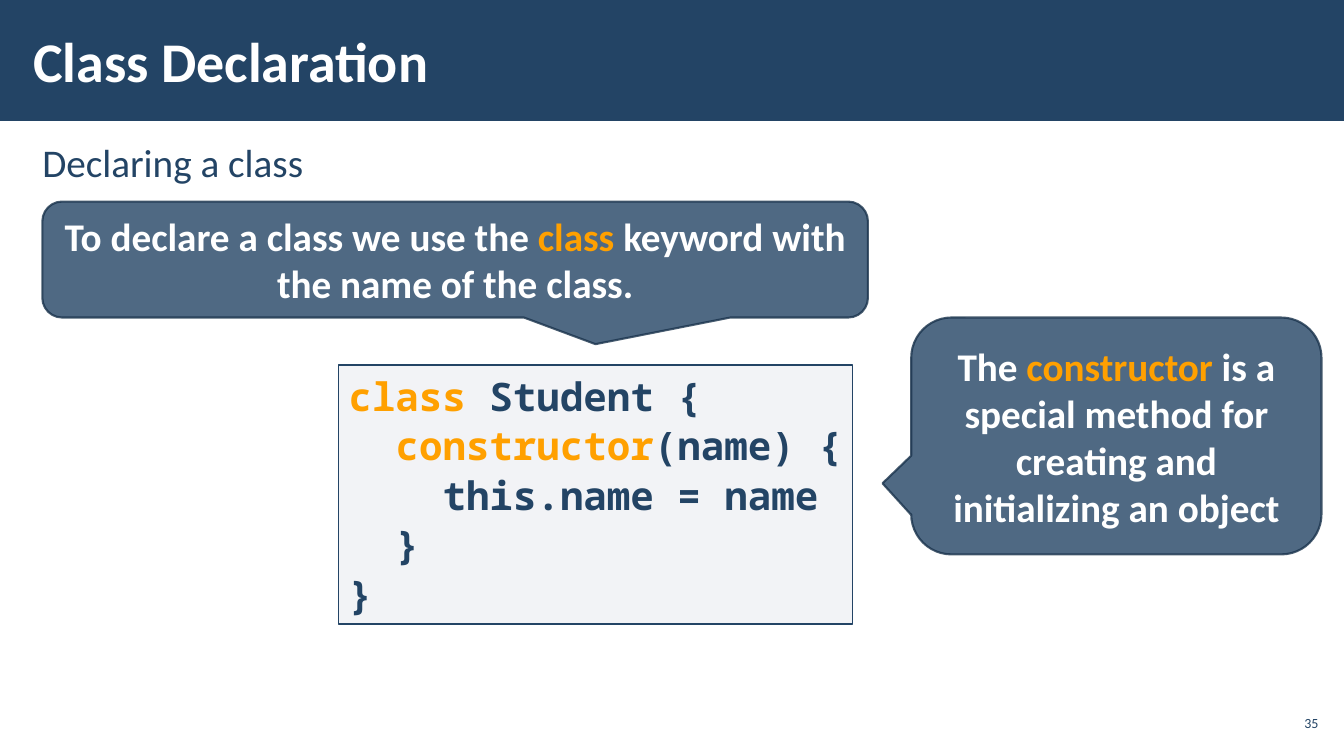
from dataclasses import dataclass

from lxml import etree
from pptx import Presentation
from pptx.dml.color import RGBColor
from pptx.enum.shapes import MSO_SHAPE
from pptx.enum.text import MSO_ANCHOR, MSO_AUTO_SIZE, PP_ALIGN
from pptx.oxml.ns import qn
from pptx.shapes.autoshape import Shape
from pptx.slide import Slide
from pptx.text.text import TextFrame
from pptx.util import Inches, Pt

RECTANGLE = MSO_SHAPE.RECTANGLE
CALLOUT = MSO_SHAPE.ROUNDED_RECTANGULAR_CALLOUT
LEFT, CENTER, RIGHT = PP_ALIGN.LEFT, PP_ALIGN.CENTER, PP_ALIGN.RIGHT
TOP, MIDDLE = MSO_ANCHOR.TOP, MSO_ANCHOR.MIDDLE
FIXED, GROW = MSO_AUTO_SIZE.NONE, MSO_AUTO_SIZE.SHAPE_TO_FIT_TEXT
CELL = Inches(0.1)
COLUMNS, ROWS = 133.33, 75


@dataclass(frozen=True)
class Theme:
    navy: str = "234465"
    outline: str = "1A334C"
    pale: str = "ADB4C3"
    orange: str = "FFA000"
    white: str = "FFFFFF"
    sans: str = "Calibri"
    mono: str = "Noto Sans Mono"
    title_size: float = 40
    text_size: float = 28
    number_size: float = 10
    code_spacing: float = 1.05


THEME = Theme()


@dataclass(frozen=True)
class Area:
    column: float
    row: float
    columns: float
    rows: float

    def lengths(self) -> tuple[int, ...]:
        cells = (self.column, self.row, self.columns, self.rows)
        return tuple(round(cell * CELL) for cell in cells)


@dataclass(frozen=True)
class Span:
    text: str
    color: str


@dataclass(frozen=True)
class Line:
    spans: tuple[Span, ...]
    level: int = 0


@dataclass(frozen=True)
class Style:
    font: str = THEME.sans
    size: float = THEME.text_size
    bold: bool = False
    align: PP_ALIGN = LEFT
    anchor: MSO_ANCHOR = TOP
    spacing: float = 1.0
    around: float = 0
    insets: tuple[float, float] = (0.1, 0.05)
    fit: MSO_AUTO_SIZE = FIXED


@dataclass(frozen=True)
class Panel:
    kind: MSO_SHAPE
    area: Area
    fill: str
    fill_opacity: int
    line: str
    line_width: float
    line_opacity: int
    lines: tuple[Line, ...]
    style: Style
    adjustments: tuple[float, ...] = ()


CODE = Style(font=THEME.mono, bold=True, spacing=THEME.code_spacing, fit=GROW)
SPEECH = Style(bold=True, align=CENTER, anchor=MIDDLE)
TITLE = Style(size=THEME.title_size, bold=True, anchor=MIDDLE, insets=(0.12, 0.04))
BODY = Style(spacing=THEME.code_spacing, around=6, insets=(0.21, 0.04))
NUMBER = Style(size=THEME.number_size, align=RIGHT, anchor=MIDDLE, insets=(0.04, 0.04))

CODE_LINES = (
    Line((Span("class", THEME.orange), Span(" Student {", THEME.navy))),
    Line((Span("constructor", THEME.orange), Span("(name) {", THEME.navy)), 1),
    Line((Span("this.name = name", THEME.navy),), 2),
    Line((Span("}", THEME.navy),), 1),
    Line((Span("}", THEME.navy),)),
)


def plain(text: str, color: str) -> tuple[Line, ...]:
    return (Line((Span(text, color),)),)


def speech(area: Area, adjustments: tuple[float, ...],
           before: str, keyword: str, after: str) -> Panel:
    spans = (Span(before, THEME.white), Span(keyword, THEME.orange), Span(after, THEME.white))
    return Panel(CALLOUT, area, THEME.navy, 80, THEME.outline, 1.5, 80,
                 (Line(spans),), SPEECH, adjustments)


PANELS = (
    Panel(RECTANGLE, Area(33.6, 36.2, 51, 25.7), THEME.pale, 15,
          THEME.navy, 1, 100, CODE_LINES, CODE),
    speech(Area(4.2, 20, 81.9, 11.5), (0.17, 0.73, 0.17),
           "To declare a class we use the ", "class ", "keyword with the name of the class."),
    speech(Area(90.4, 31.5, 40.7, 23.5), (-0.57, 0.2, 0.17),
           "The ", "constructor", " is a special method for creating and initializing an object"),
)


def write(frame: TextFrame, lines: tuple[Line, ...], style: Style) -> None:
    frame.word_wrap = True
    frame.auto_size = style.fit
    frame.vertical_anchor = style.anchor
    frame.margin_left = frame.margin_right = Inches(style.insets[0])
    frame.margin_top = frame.margin_bottom = Inches(style.insets[1])
    frame.text = "\n".join("" for _ in lines)
    for para, line in zip(frame.paragraphs, lines):
        para.alignment = style.align
        para.line_spacing = style.spacing
        para.space_before = para.space_after = Pt(style.around)
        properties = para._p.get_or_add_pPr()
        properties.set("marL", str(Pt(line.level * 1.2 * style.size)))
        properties.set("indent", "0")
        etree.SubElement(properties, qn("a:buNone"))
        for span in line.spans:
            run = para.add_run()
            run.text = span.text
            run.font.name = style.font
            run.font.size = Pt(style.size)
            run.font.bold = style.bold
            run.font.color.rgb = RGBColor.from_string(span.color)


def set_opacity(shape: Shape, route: tuple[str, ...], percent: int) -> None:
    color = shape.element.spPr.find("/".join(qn(tag) for tag in route))
    etree.SubElement(color, qn("a:alpha")).set("val", str(percent * 1000))


def draw_panel(slide: Slide, panel: Panel) -> None:
    box = slide.shapes.add_shape(panel.kind, *panel.area.lengths())
    box.shadow.inherit = False
    for index, value in enumerate(panel.adjustments):
        box.adjustments[index] = value
    box.fill.solid()
    box.fill.fore_color.rgb = RGBColor.from_string(panel.fill)
    box.line.color.rgb = RGBColor.from_string(panel.line)
    box.line.width = Pt(panel.line_width)
    set_opacity(box, ("a:solidFill", "a:srgbClr"), panel.fill_opacity)
    set_opacity(box, ("a:ln", "a:solidFill", "a:srgbClr"), panel.line_opacity)
    write(box.text_frame, panel.lines, panel.style)


def draw_band(slide: Slide) -> None:
    band = slide.shapes.add_shape(RECTANGLE, *Area(0, 0, COLUMNS, 12).lengths())
    band.shadow.inherit = False
    band.fill.solid()
    band.fill.fore_color.rgb = RGBColor.from_string(THEME.navy)
    band.line.fill.background()
    band.element.getparent().insert(2, band.element)


def fill_text(shape: Shape, area: Area, text: str, color: str, style: Style) -> None:
    shape.left, shape.top, shape.width, shape.height = area.lengths()
    write(shape.text_frame, plain(text, color), style)


def main() -> None:
    deck = Presentation()
    deck.slide_width, deck.slide_height = round(COLUMNS * CELL), ROWS * CELL
    slide = deck.slides.add_slide(deck.slide_layouts[1])
    draw_band(slide)
    fill_text(slide.placeholders[1], Area(2.1, 13.1, 129.2, 56.9),
              "Declaring a class", THEME.navy, BODY)
    fill_text(slide.shapes.title, Area(2.1, 1.1, 104, 9.7),
              "Class Declaration", THEME.white, TITLE)
    number_area = Area(126.5, 70, 4.7, 3.4)
    number = slide.shapes.add_textbox(*number_area.lengths())
    fill_text(number, number_area, "35", THEME.navy, NUMBER)
    for panel in PANELS:
        draw_panel(slide, panel)
    deck.save("out.pptx")


if __name__ == "__main__":
    main()
